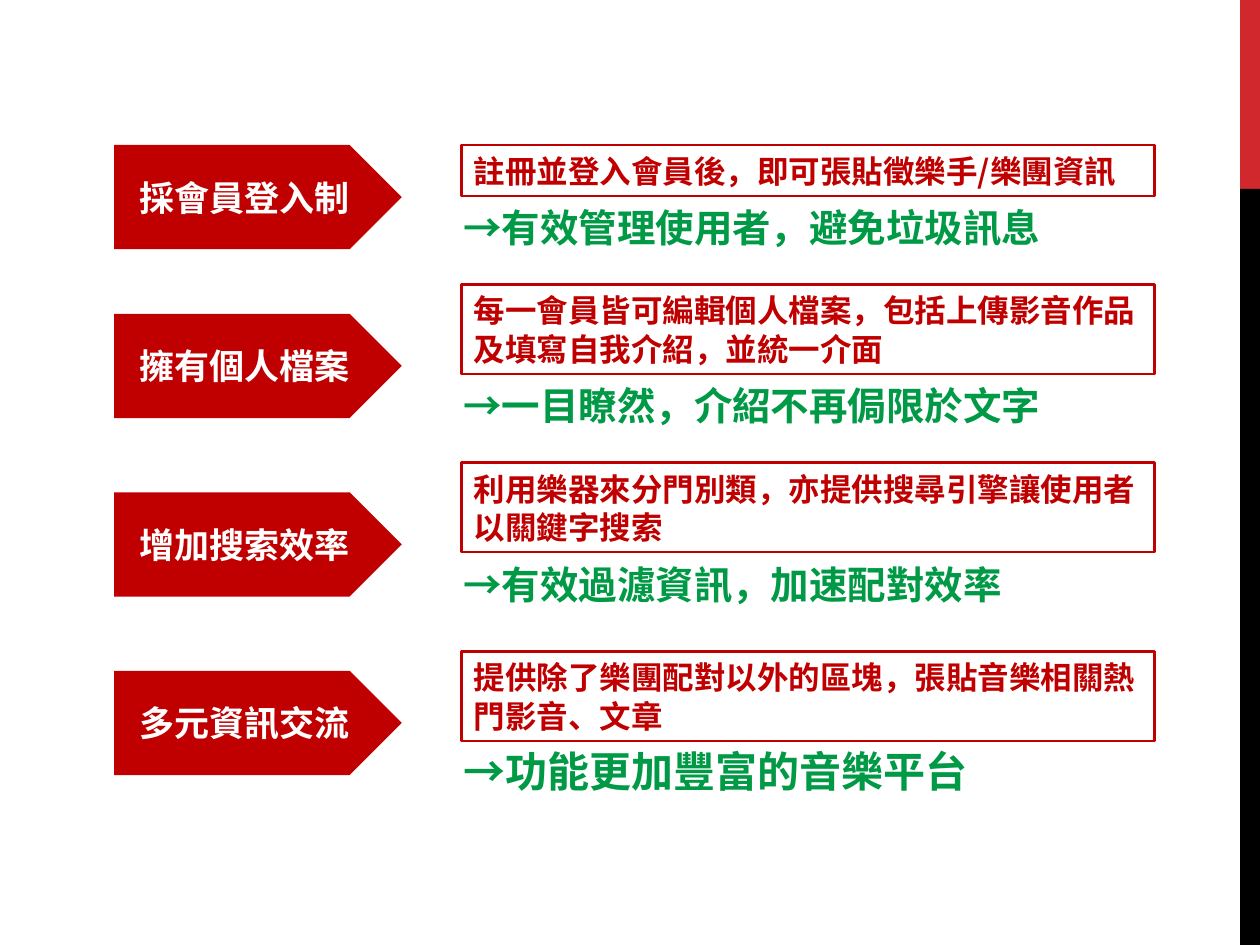
import pptx
import pptx.dml.color
import pptx.enum.shapes
import pptx.enum.text
import pptx.oxml
import pptx.oxml.ns
import pptx.util

Pt = pptx.util.Pt
SHAPE = pptx.enum.shapes.MSO_SHAPE
ALIGN = pptx.enum.text.PP_ALIGN
ANCHOR = pptx.enum.text.MSO_ANCHOR

FONT = "Noto Sans CJK SC"
RED, GREEN, WHITE = "C00000", "009A46", "FFFFFF"


def color(value):
    return pptx.dml.color.RGBColor.from_string(value)


class FeatureSlide:
    """Holds the style and the current slide."""

    def __init__(self, slide):
        self.slide = slide

    def set_text(self, shape, text, size, text_color, spacing=None,
                 align=ALIGN.LEFT, anchor=ANCHOR.TOP):
        frame = shape.text_frame
        frame.word_wrap = True
        frame.vertical_anchor = anchor
        paragraph = frame.paragraphs[0]
        paragraph.alignment = align
        if spacing:
            paragraph.line_spacing = Pt(spacing)
        run = paragraph.add_run()
        run.text = text
        for name, value in {"name": FONT, "size": Pt(size), "bold": True}.items():
            setattr(run.font, name, value)
        run.font.color.rgb = color(text_color)
        # Chinese text takes its typeface from the East Asian font
        east_asian = pptx.oxml.parse_xml(
            f'<a:ea {pptx.oxml.ns.nsdecls("a")} typeface="{FONT}"/>')
        run._r.get_or_add_rPr().append(east_asian)

    def block(self, kind, left, top, width, height, fill=None, line=None):
        shape = self.slide.shapes.add_shape(
            kind, Pt(left), Pt(top), Pt(width), Pt(height))
        shape.shadow.inherit = False
        if fill:
            shape.fill.solid()
            shape.fill.fore_color.rgb = color(fill)
        else:
            shape.fill.background()
        if line:
            shape.line.color.rgb = color(line)
            shape.line.width = Pt(1.5)
        else:
            shape.line.fill.background()
        return shape

    def pentagon(self, top, text):
        shape = self.block(SHAPE.PENTAGON, 65.2, top, 164.4, 59.6, fill=RED)
        self.set_text(shape, text, 20, WHITE,
                      align=ALIGN.CENTER, anchor=ANCHOR.MIDDLE)

    def description(self, top, lines, text):
        shape = self.block(SHAPE.RECTANGLE, 263.7, top, 396,
                           7.2 + 22 * lines, line=RED)
        self.set_text(shape, text, 18, RED, spacing=22)

    def benefit(self, top, size, text):
        box = self.slide.shapes.add_textbox(
            Pt(257.8), Pt(top), Pt(401.8), Pt(7.2 + 1.2 * size))
        self.set_text(box, "→" + text, size, GREEN, spacing=round(1.28 * size))


# Pentagon top and text; description top, lines and text; benefit top, size and text
FEATURES = [
    ((82.8, "採會員登入制"),
     (82.8, 1, "註冊並登入會員後，即可張貼徵樂手/樂團資訊"),
     (111.6, 22, "有效管理使用者，避免垃圾訊息")),
    ((179.3, "擁有個人檔案"),
     (162.5, 2, "每一會員皆可編輯個人檔案，包括上傳影音作品及填寫自我介紹，並統一介面"),
     (213.4, 22, "一目瞭然，介紹不再侷限於文字")),
    ((281.3, "增加搜索效率"),
     (264.4, 2, "利用樂器來分門別類，亦提供搜尋引擎讓使用者以關鍵字搜索"),
     (315.4, 22, "有效過濾資訊，加速配對效率")),
    ((383.3, "多元資訊交流"),
     (372.2, 2, "提供除了樂團配對以外的區塊，張貼音樂相關熱門影音、文章"),
     (420.5, 24, "功能更加豐富的音樂平台")),
]


def main():
    presentation = pptx.Presentation()
    presentation.slide_width, presentation.slide_height = Pt(720), Pt(540)
    page = FeatureSlide(
        presentation.slides.add_slide(presentation.slide_layouts[6]))

    # Side stripe
    page.block(SHAPE.RECTANGLE, 708.6, 0, 11.4, 108, fill="D1282E")
    page.block(SHAPE.RECTANGLE, 708.6, 108, 11.4, 432, fill="000000")

    # Feature rows
    for pentagon, description, benefit in FEATURES:
        page.pentagon(*pentagon)
        page.description(*description)
        page.benefit(*benefit)

    presentation.save("out.pptx")


if __name__ == "__main__":
    main()
